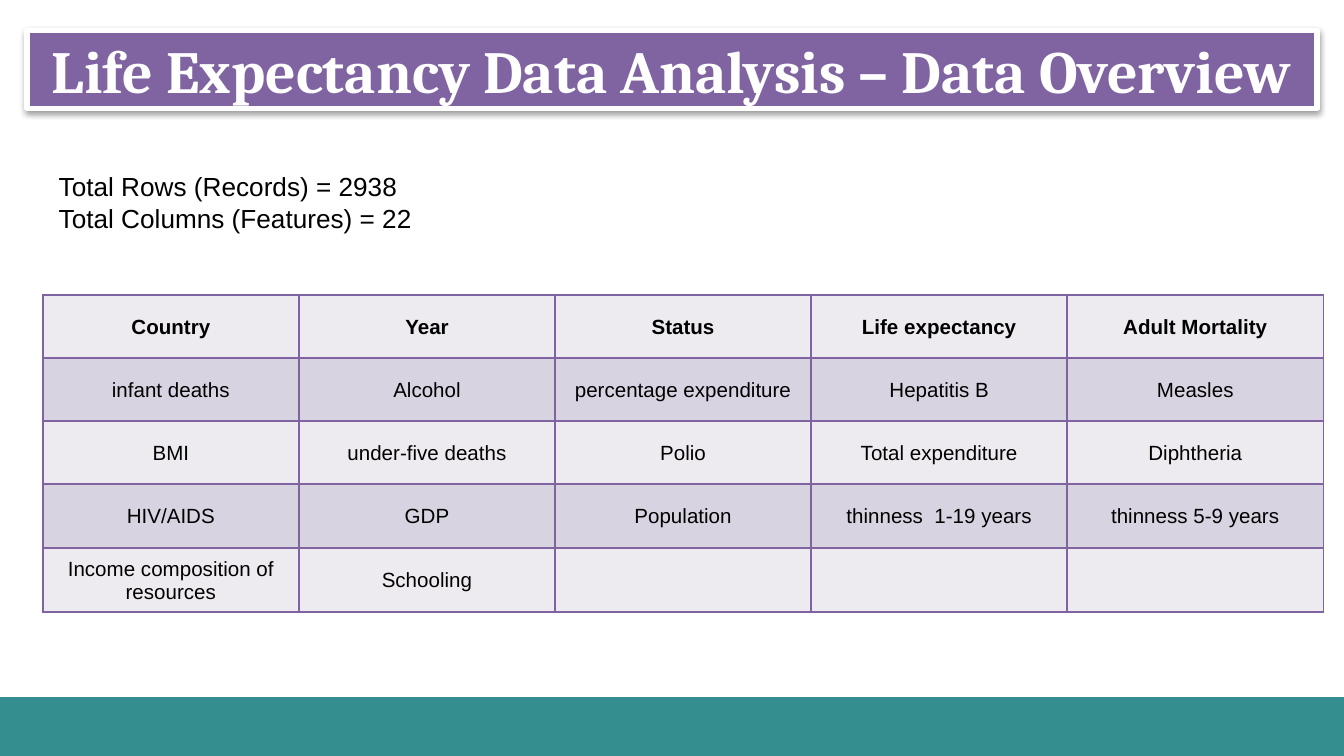
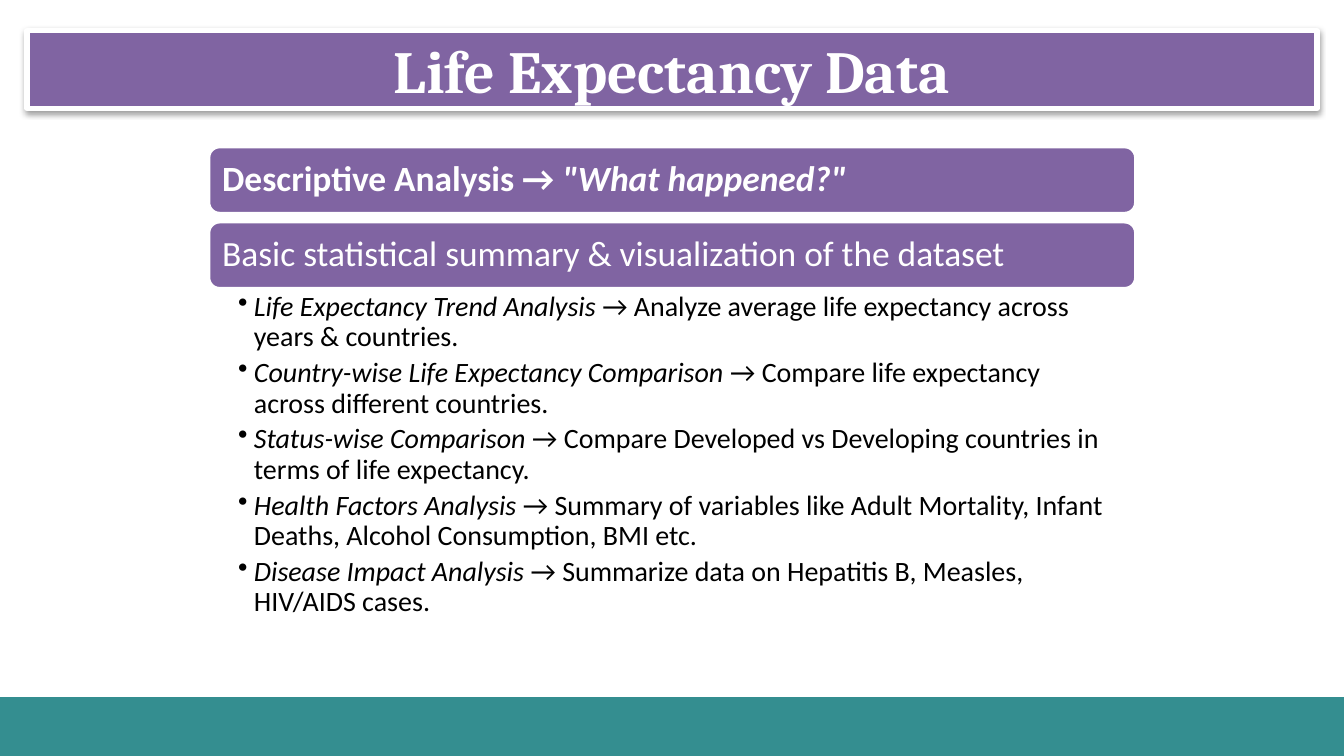
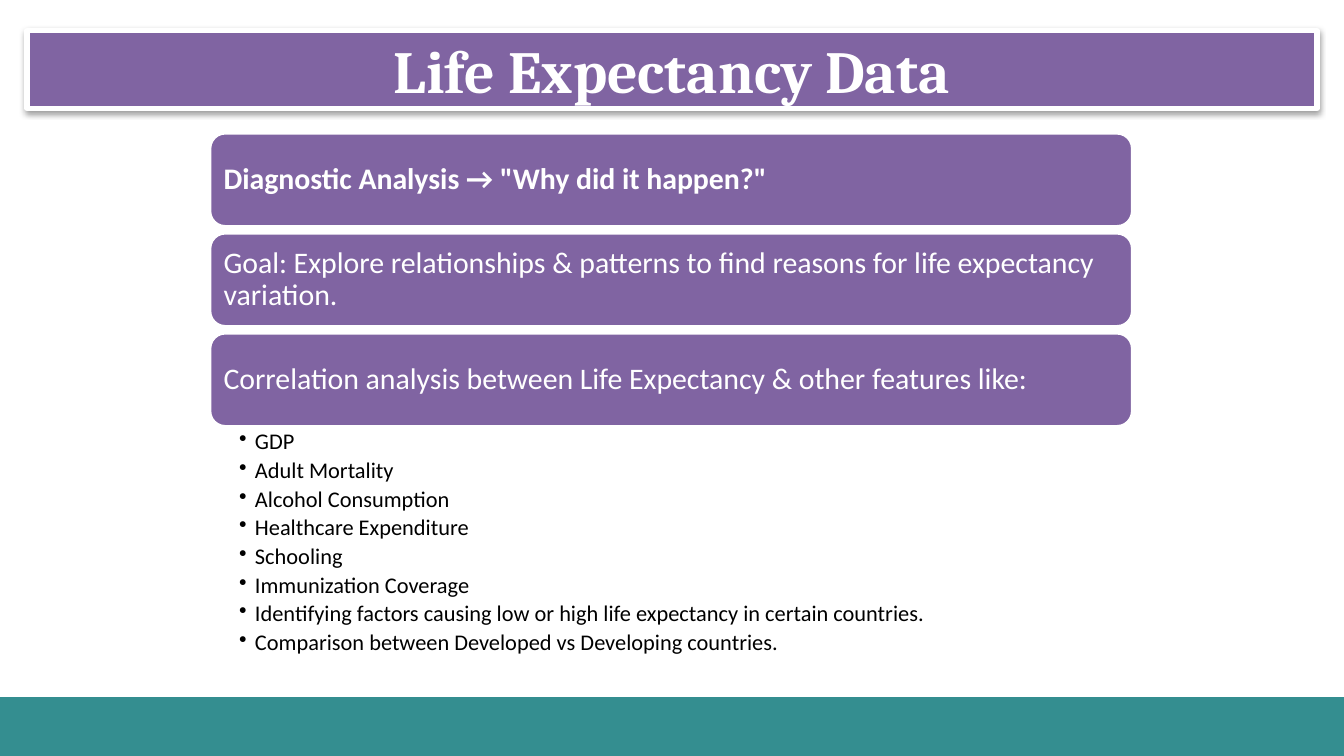
from dataclasses import dataclass
from typing import NamedTuple

from lxml import etree
from pptx import Presentation
from pptx import util as u
from pptx.dml.color import RGBColor
from pptx.enum import shapes, text
from pptx.oxml import ns

COLORS = {
    "purple": "8064A2",
    "teal": "348E90",
    "white": "FFFFFF",
    "black": "000000",
    "light": "EDEAF0",
    "shade": "D8D3E0",
}
SLIDE_WIDTH, SLIDE_HEIGHT = 25.4, 14.29
BAND_TOP = 13.18
FEATURE_COLUMN_WIDTH = 4.84
FEATURE_ROW_HEIGHTS = (1.19, 1.19, 1.19, 1.21, 1.21)

FEATURES = (
    ("Country", "Year", "Status", "Life expectancy", "Adult Mortality"),
    ("infant deaths", "Alcohol", "percentage expenditure", "Hepatitis B", "Measles"),
    ("BMI", "under-five deaths", "Polio", "Total expenditure", "Diphtheria"),
    ("HIV/AIDS", "GDP", "Population", "thinness  1-19 years", "thinness 5-9 years"),
    ("Income composition of resources", "Schooling", "", "", ""),
)


class Box(NamedTuple):
    left: float
    top: float
    width: float
    height: float

    def lengths(self) -> list:
        return [u.Cm(value) for value in self]


class Phrase(NamedTuple):
    text: str
    italic: bool = False


class Style(NamedTuple):
    font: str
    size: float
    color: str
    bold: bool = False


@dataclass
class Card:
    phrases: tuple
    bold: bool = False


@dataclass
class Analysis:
    cards: tuple
    points: tuple
    first_card: Box
    pitch: float
    card_size: int
    card_inset: float
    point_size: int
    points_height: float


def topic(name: str, detail: str) -> tuple:
    return Phrase(name, True), Phrase(f" → {detail}")


DESCRIPTIVE = Analysis(
    cards=(
        Card((Phrase("Descriptive Analysis → "), Phrase('"What happened?"', True)), True),
        Card((Phrase("Basic statistical summary & visualization of the dataset"),)),
    ),
    points=(
        topic("Life Expectancy Trend Analysis",
              "Analyze average life expectancy across years & countries."),
        topic("Country-wise Life Expectancy Comparison",
              "Compare life expectancy across different countries."),
        topic("Status-wise Comparison",
              "Compare Developed vs Developing countries in terms of life expectancy."),
        topic("Health Factors Analysis",
              "Summary of variables like Adult Mortality, Infant Deaths, "
              "Alcohol Consumption, BMI etc."),
        topic("Disease Impact Analysis",
              "Summarize data on Hepatitis B, Measles, HIV/AIDS cases."),
    ),
    first_card=Box(3.94, 2.77, 17.53, 1.27),
    pitch=1.42,
    card_size=19,
    card_inset=0.2,
    point_size=15,
    points_height=6.55,
)

DIAGNOSTIC = Analysis(
    cards=(
        Card((Phrase('Diagnostic Analysis → "Why did it happen?"'),), True),
        Card((Phrase("Goal: Explore relationships & patterns to find reasons "
                     "for life expectancy variation."),)),
        Card((Phrase("Correlation analysis between Life Expectancy "
                     "& other features like:"),)),
    ),
    points=tuple((Phrase(factor),) for factor in (
        "GDP",
        "Adult Mortality",
        "Alcohol Consumption",
        "Healthcare Expenditure",
        "Schooling",
        "Immunization Coverage",
        "Identifying factors causing low or high life expectancy in certain countries.",
        "Comparison between Developed vs Developing countries.",
    )),
    first_card=Box(3.96, 2.51, 17.45, 1.78),
    pitch=1.89,
    card_size=16,
    card_inset=0.18,
    point_size=12,
    points_height=4.6,
)


def rgb(name: str) -> RGBColor:
    return RGBColor.from_string(COLORS[name])


def add_element(parent, tag: str, **attributes):
    return etree.SubElement(parent, ns.qn(tag), attributes)


def write(paragraph, phrases: tuple, style: Style, align=text.PP_ALIGN.LEFT) -> None:
    paragraph.alignment = align
    paragraph.font.name = style.font
    paragraph.font.size = u.Pt(style.size)
    paragraph.font.bold = style.bold
    paragraph.font.color.rgb = rgb(style.color)
    for phrase in phrases:
        run = paragraph.add_run()
        run.text = phrase.text
        if phrase.italic:
            run.font.italic = True


def set_insets(target, left: float, top: float, right: float, bottom: float) -> None:
    target.margin_left, target.margin_top = u.Cm(left), u.Cm(top)
    target.margin_right, target.margin_bottom = u.Cm(right), u.Cm(bottom)


def add_panel(slide, kind, box: Box, color: str, line_width: float = 0):
    panel = slide.shapes.add_shape(kind, *box.lengths())
    panel.shadow.inherit = False
    panel.fill.solid()
    panel.fill.fore_color.rgb = rgb(color)
    if line_width:
        panel.line.color.rgb = rgb("white")
        panel.line.width = u.Pt(line_width)
    else:
        panel.line.fill.background()
    panel.text_frame.word_wrap = True
    panel.text_frame.vertical_anchor = text.MSO_ANCHOR.MIDDLE
    return panel


def add_title(slide, title: str) -> None:
    banner = add_panel(slide, shapes.MSO_SHAPE.RECTANGLE,
                       Box(0.51, 0.58, 24.38, 1.47), "purple", 3)
    effects = banner._element.spPr.find(ns.qn("a:effectLst"))
    shadow = add_element(effects, "a:outerShdw", blurRad="40000", dist="20000",
                         dir="5400000", rotWithShape="0")
    tint = add_element(shadow, "a:srgbClr", val=COLORS["black"])
    add_element(tint, "a:alpha", val="38000")
    set_insets(banner.text_frame, 0, 0, 0, 0)
    write(banner.text_frame.paragraphs[0], (Phrase(title),),
          Style("Cambria", 32, "white", True), text.PP_ALIGN.CENTER)


def start_slide(deck, title: str):
    slide = deck.slides.add_slide(deck.slide_layouts[6])
    add_title(slide, title)
    add_panel(slide, shapes.MSO_SHAPE.RECTANGLE,
              Box(0, BAND_TOP, SLIDE_WIDTH, SLIDE_HEIGHT - BAND_TOP), "teal")
    return slide


def add_text_frame(slide, box: Box):
    frame = slide.shapes.add_textbox(*box.lengths()).text_frame
    frame.word_wrap = True
    return frame


def next_paragraph(frame, index: int):
    return frame.add_paragraph() if index else frame.paragraphs[0]


def add_totals(slide) -> None:
    frame = add_text_frame(slide, Box(0.86, 3.1, 23.7, 1.45))
    totals = ("Total Rows (Records) = 2938", "Total Columns (Features) = 22")
    for index, total in enumerate(totals):
        write(next_paragraph(frame, index), (Phrase(total),), Style("Arial", 14, "black"))


def add_borders(cell) -> None:
    properties = cell._tc.get_or_add_tcPr()
    for side in ("a:lnL", "a:lnR", "a:lnT", "a:lnB"):
        border = add_element(properties, side, w=str(u.Pt(1)))
        add_element(add_element(border, "a:solidFill"), "a:srgbClr", val=COLORS["purple"])


def add_features(slide) -> None:
    columns = len(FEATURES[0])
    box = Box(0.81, 5.58, columns * FEATURE_COLUMN_WIDTH, sum(FEATURE_ROW_HEIGHTS))
    features = slide.shapes.add_table(len(FEATURES), columns, *box.lengths()).table
    features.first_row = features.horz_banding = False
    for column in features.columns:
        column.width = u.Cm(FEATURE_COLUMN_WIDTH)
    for row, names in enumerate(FEATURES):
        features.rows[row].height = u.Cm(FEATURE_ROW_HEIGHTS[row])
        for column, name in enumerate(names):
            cell = features.cell(row, column)
            set_insets(cell, 0.02, 0.02, 0.02, 0)
            cell.vertical_anchor = text.MSO_ANCHOR.MIDDLE
            add_borders(cell)
            cell.fill.solid()
            cell.fill.fore_color.rgb = rgb("shade" if row % 2 else "light")
            if name:
                write(cell.text_frame.paragraphs[0], (Phrase(name),),
                      Style("Arial", 11, "black", row == 0), text.PP_ALIGN.CENTER)


def add_points(slide, box: Box, points: tuple, size: int) -> None:
    frame = add_text_frame(slide, box)
    set_insets(frame, 0.56, 0.07, 0.38, 0.07)
    for index, phrases in enumerate(points):
        point = next_paragraph(frame, index)
        point.level = 1
        properties = point._p.get_or_add_pPr()
        properties.set("marL", str(u.Cm(0.3)))
        properties.set("indent", str(u.Cm(-0.3)))
        add_element(add_element(properties, "a:buClr"), "a:srgbClr", val=COLORS["black"])
        add_element(properties, "a:buChar", char="•")
        point.line_spacing = 0.9
        point.space_after = u.Pt(size * 0.2)
        write(point, phrases, Style("Calibri", size, "black"))


def add_analysis(slide, analysis: Analysis) -> None:
    first = analysis.first_card
    for index, card in enumerate(analysis.cards):
        box = first._replace(top=first.top + index * analysis.pitch)
        panel = add_panel(slide, shapes.MSO_SHAPE.ROUNDED_RECTANGLE, box, "purple", 2)
        set_insets(panel.text_frame, *[analysis.card_inset] * 4)
        heading = panel.text_frame.paragraphs[0]
        heading.line_spacing = 0.9
        write(heading, card.phrases,
              Style("Calibri", analysis.card_size, "white", card.bold))
    below = box._replace(top=box.top + box.height, height=analysis.points_height)
    add_points(slide, below, analysis.points, analysis.point_size)


def main() -> None:
    deck = Presentation()
    deck.slide_width, deck.slide_height = u.Cm(SLIDE_WIDTH), u.Cm(SLIDE_HEIGHT)
    overview = start_slide(deck, "Life Expectancy Data Analysis – Data Overview")
    add_totals(overview)
    add_features(overview)
    for analysis in (DESCRIPTIVE, DIAGNOSTIC):
        add_analysis(start_slide(deck, "Life Expectancy Data"), analysis)
    deck.save("out.pptx")


if __name__ == "__main__":
    main()
